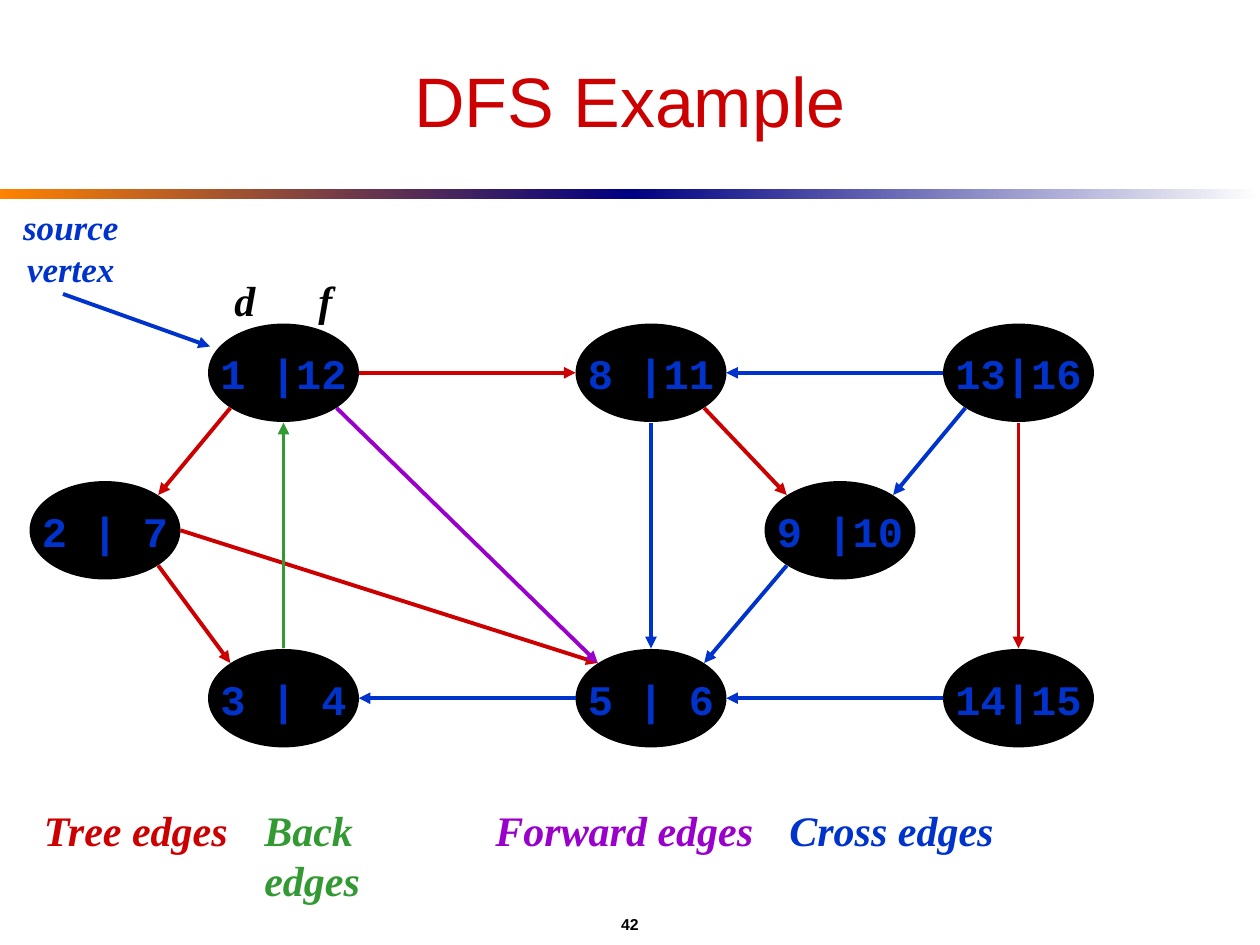
from math import sqrt

from lxml import etree
from pptx import Presentation
from pptx.dml.color import RGBColor
from pptx.enum import shapes, text
from pptx.oxml import ns
from pptx.util import Pt

COLORS = {
    "tree": "CC0000", "back": "339933", "forward": "9900CC", "cross": "0033CC",
    "black": "000000", "orange": "FF8200", "navy": "000082", "white": "FFFFFF",
}
SERIF = "Times New Roman"
CENTER = text.PP_ALIGN.CENTER


def rgb(name):
    return RGBColor.from_string(COLORS[name])


def write(shape, words, size, face, color, bold=True, italic=False, align=CENTER,
          anchor=text.MSO_ANCHOR.MIDDLE):
    frame = shape.text_frame
    frame.text = words
    frame.word_wrap = False
    frame.vertical_anchor = anchor
    for paragraph in frame.paragraphs:
        paragraph.alignment = align
        font = paragraph.font
        font.size, font.name, font.bold, font.italic = Pt(size), face, bold, italic
        font.color.rgb = rgb(color)
    return frame


deck = Presentation()
deck.slide_width, deck.slide_height = Pt(720), Pt(540)
slide = deck.slides.add_slide(deck.slide_layouts[6])
canvas = slide.shapes

for left, start, end in [(0, "orange", "navy"), (360, "navy", "white")]:
    band = canvas.add_shape(shapes.MSO_SHAPE.RECTANGLE, Pt(left), Pt(108), Pt(360), Pt(6))
    band.shadow.inherit = False
    band.line.fill.background()
    band.fill.gradient()
    band.fill.gradient_angle = 0
    for stop, color in zip(band.fill.gradient_stops, (start, end)):
        stop.color.rgb = rgb(color)

page_number = canvas.add_textbox(Pt(36), Pt(516), Pt(648), Pt(24))
write(page_number, "42", 9, "Arial", "black")
title = canvas.add_textbox(Pt(36), Pt(18), Pt(648), Pt(78))
write(title, "DFS Example", 40, "Arial", "tree", bold=False)

WIDTH, HEIGHT = 84, 54
vertices = {
    "1 |12": (120, 186), "8 |11": (330, 186), "13|16": (540, 186),
    "14|15": (540, 372), "5 | 6": (330, 372), "3 | 4": (120, 372),
    "2 | 7": (18, 276), "9 |10": (438, 276),
}
for times, (left, top) in vertices.items():
    vertex = canvas.add_shape(shapes.MSO_SHAPE.OVAL, Pt(left), Pt(top), Pt(WIDTH), Pt(HEIGHT))
    vertex.shadow.inherit = False
    vertex.fill.solid()
    vertex.fill.fore_color.rgb = rgb("black")
    vertex.line.color.rgb = rgb("black")
    vertex.line.width = Pt(2.25)
    write(vertex, times, 24, "Courier New", "cross")

DIAGONAL = 1 / sqrt(2)
sides = {
    "N": (0, -1), "S": (0, 1), "W": (-1, 0), "E": (1, 0),
    "NW": (-DIAGONAL, -DIAGONAL), "NE": (DIAGONAL, -DIAGONAL),
    "SW": (-DIAGONAL, DIAGONAL), "SE": (DIAGONAL, DIAGONAL),
}
edges = [
    ("1 |12", "SW", "2 | 7", "NE", "tree"),
    ("2 | 7", "SE", "3 | 4", "NW", "tree"),
    ("2 | 7", "E", "5 | 6", "NW", "tree"),
    ("5 | 6", "W", "3 | 4", "E", "cross"),
    ("3 | 4", "N", "1 |12", "S", "back"),
    ("8 |11", "S", "5 | 6", "N", "cross"),
    ("1 |12", "E", "8 |11", "W", "tree"),
    ("13|16", "W", "8 |11", "E", "cross"),
    ("8 |11", "SE", "9 |10", "NW", "tree"),
    ("13|16", "SW", "9 |10", "NE", "cross"),
    ("13|16", "S", "14|15", "N", "tree"),
    ("14|15", "W", "5 | 6", "E", "cross"),
    ("9 |10", "SW", "5 | 6", "NE", "cross"),
    ("1 |12", "SE", "5 | 6", "NW", "forward"),
]
arrows = [((36, 168), (120, 198), "cross")]
for origin, origin_side, target, target_side, kind in edges:
    ends = []
    for times, side in ((origin, origin_side), (target, target_side)):
        left, top = vertices[times]
        dx, dy = sides[side]
        ends.append((left + WIDTH / 2 + dx * (WIDTH / 2 + 1),
                     top + HEIGHT / 2 + dy * (HEIGHT / 2 + 1.5)))
    arrows.append((*ends, kind))

for begin, end, kind in arrows:
    arrow = canvas.add_connector(shapes.MSO_CONNECTOR.STRAIGHT, *map(Pt, begin + end))
    arrow.line.color.rgb = rgb(kind)
    arrow.line.width = Pt(2.25)
    etree.SubElement(arrow.line._get_or_add_ln(), ns.qn("a:tailEnd"), type="triangle")
    etree.SubElement(arrow._element.spPr, ns.qn("a:effectLst"))

source_label = canvas.add_textbox(Pt(6), Pt(114), Pt(69), Pt(55))
write(source_label, "source\nvertex", 20, SERIF, "cross", italic=True,
      anchor=text.MSO_ANCHOR.TOP)

time_label = canvas.add_textbox(Pt(134), Pt(144), Pt(56), Pt(54))
time_frame = write(time_label, "d\tf", 24, SERIF, "black", italic=True,
                   align=text.PP_ALIGN.LEFT)
time_frame.margin_left = time_frame.margin_right = 0
tab_list = etree.Element(ns.qn("a:tabLst"))
etree.SubElement(tab_list, ns.qn("a:tab"), pos=str(Pt(48)), algn="l")
time_frame.paragraphs[0]._p.get_or_add_pPr().insert(0, tab_list)

legend = [
    ("Tree edges", "tree", 18, 120), ("Back edges", "back", 144, 125),
    ("Forward edges", "forward", 276, 162), ("Cross edges", "cross", 444, 131),
]
for words, kind, left, width in legend:
    entry = canvas.add_textbox(Pt(left), Pt(456), Pt(width), Pt(36))
    write(entry, words, 24, SERIF, kind, italic=True, align=text.PP_ALIGN.LEFT,
          anchor=text.MSO_ANCHOR.TOP)

deck.save("out.pptx")
